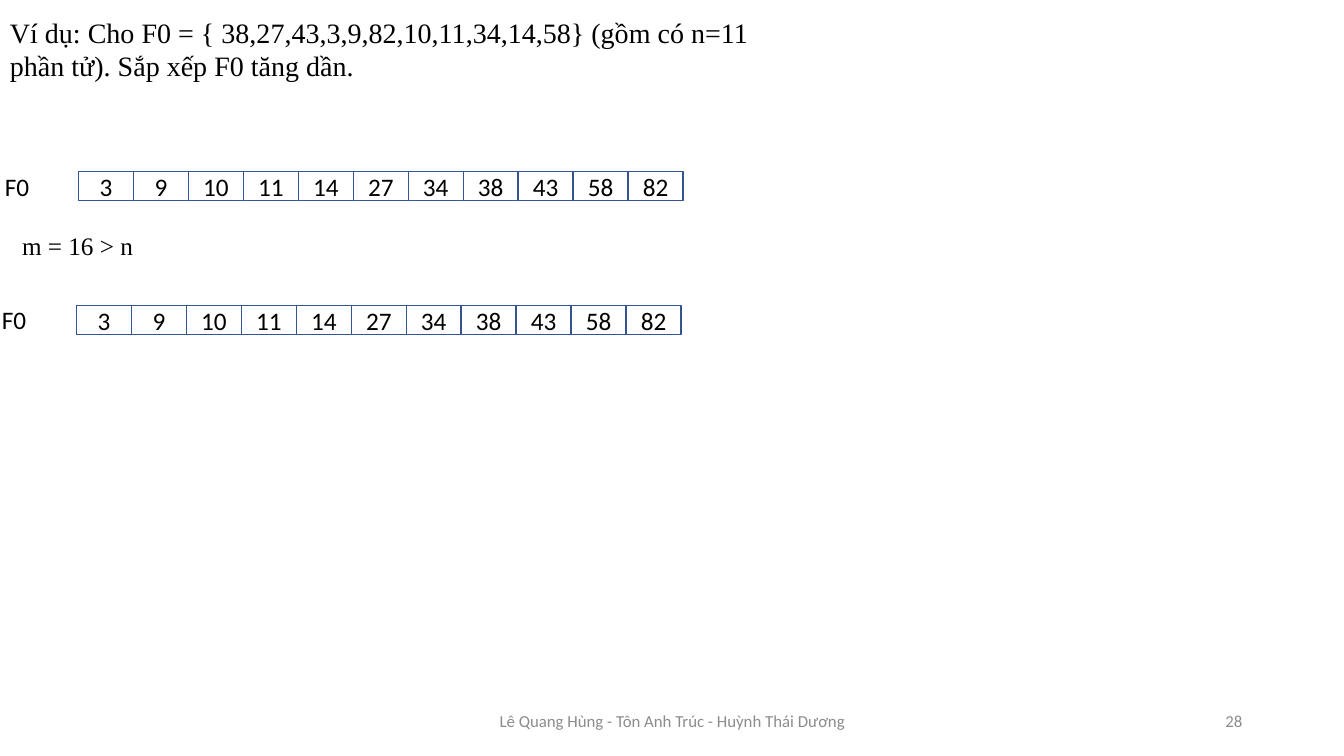
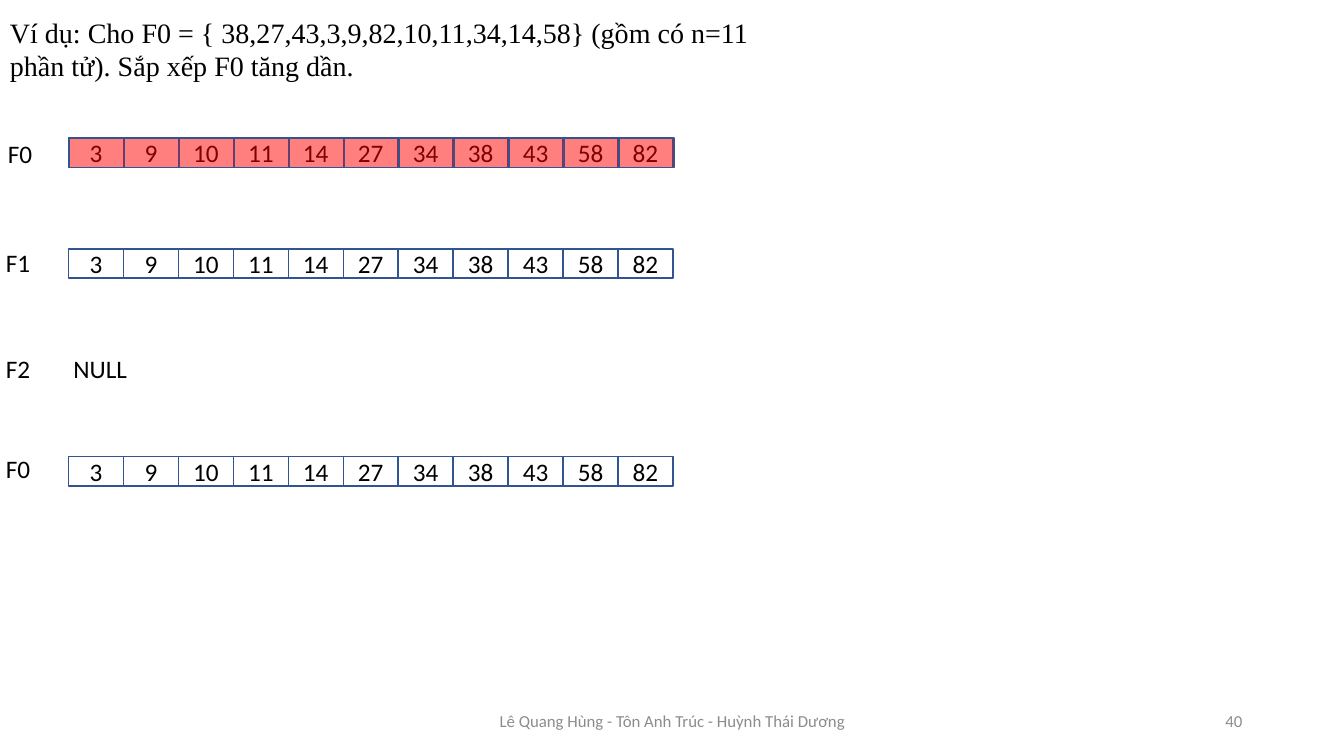
from lxml import etree
from pptx import Presentation
from pptx import util as u
from pptx.dml import color
from pptx.enum import shapes, text
from pptx.oxml import ns

BLACK, WHITE, GREY, BLUE, RED = "000000", "FFFFFF", "8C8C8C", "325491", "FF0000"
SANS, SERIF = "Calibri", "Times New Roman"
LEFT, CENTER, RIGHT = text.PP_ALIGN.LEFT, text.PP_ALIGN.CENTER, text.PP_ALIGN.RIGHT
TOP, MIDDLE = text.MSO_ANCHOR.TOP, text.MSO_ANCHOR.MIDDLE

PROBLEM = ("Ví dụ: Cho F0 = { 38,27,43,3,9,82,10,11,34,14,58} "
           "(gồm có n=11 phần tử). Sắp xếp F0 tăng dần.")
AUTHORS = "Lê Quang Hùng - Tôn Anh Trúc - Huỳnh Thái Dương"
SORTED = [3, 9, 10, 11, 14, 27, 34, 38, 43, 58, 82]
CELL_W, CELL_H = 5.45 / 10, 0.29
LINE_H = 0.4


def rgb(value):
    return color.RGBColor.from_string(value)


def inches(*lengths):
    return [u.Inches(length) for length in lengths]


def write(sp, content, size=18, font=SANS, fill=BLACK, align=LEFT, anchor=TOP):
    tf = sp.text_frame
    tf.word_wrap = True
    tf.vertical_anchor = anchor
    p = tf.paragraphs[0]
    p.alignment = align
    r = p.add_run()
    r.text = content
    r.font.size = u.Pt(size)
    r.font.name = font
    r.font.color.rgb = rgb(fill)


def add_text(s, content, x, y, w, h=LINE_H, **style):
    write(s.shapes.add_textbox(*inches(x, y, w, h)), content, **style)


def add_cell(s, x, y, fill=WHITE, alpha=100):
    sp = s.shapes.add_shape(shapes.MSO_SHAPE.RECTANGLE, *inches(x, y, CELL_W, CELL_H))
    sp.shadow.inherit = False
    sp.fill.solid()
    sp.fill.fore_color.rgb = rgb(fill)
    sp.line.color.rgb = rgb(BLUE)
    sp.line.width = u.Pt(1)
    if alpha < 100:
        clr = sp.fill._xPr.find(ns.qn("a:solidFill"))[0]
        etree.SubElement(clr, ns.qn("a:alpha")).set("val", str(alpha * 1000))
    return sp


def add_array(s, x, y):
    for i, value in enumerate(SORTED):
        write(add_cell(s, x + i * CELL_W, y), str(value), align=CENTER, anchor=MIDDLE)


def add_overlay(s, x, y):
    for i in range(len(SORTED)):
        add_cell(s, x + i * CELL_W, y, fill=RED, alpha=50)


def add_label(s, content, x, y):
    add_text(s, content, x, y, 0.7)


def base_slide(prs, number):
    s = prs.slides.add_slide(prs.slide_layouts[6])
    add_text(s, PROBLEM, 0, 0.1, 7.55, 0.77, size=20, font=SERIF)
    footer = dict(size=12, fill=GREY, anchor=MIDDLE)
    add_text(s, AUTHORS, 4.42, 6.95, 4.5, align=CENTER, **footer)
    add_text(s, str(number), 9.42, 6.95, 3, align=RIGHT, **footer)
    return s


def result_slide(prs):
    s = base_slide(prs, 28)
    add_label(s, "F0", -0.05, 1.65)
    add_array(s, 0.78, 1.7)
    add_text(s, "m = 16 > n", 0.12, 2.24, 2.41, font=SERIF)
    add_label(s, "F0", -0.08, 2.97)
    add_array(s, 0.76, 3.03)


def merge_slide(prs):
    s = base_slide(prs, 40)
    x = 0.68
    add_label(s, "F0", -0.02, 1.32)
    for y in (1.37, 2.47, 4.53):
        add_array(s, x, y)
    add_overlay(s, x + 0.01, 1.37)
    for name, y in (("F1", 2.4), ("F2", 3.46), ("F0", 4.45)):
        add_label(s, name, -0.04, y)
    add_text(s, "NULL", 0.63, 3.46, 0.91)


def main():
    prs = Presentation()
    prs.slide_width, prs.slide_height = inches(13.33, 7.5)
    result_slide(prs)
    merge_slide(prs)
    prs.save("out.pptx")


if __name__ == "__main__":
    main()
